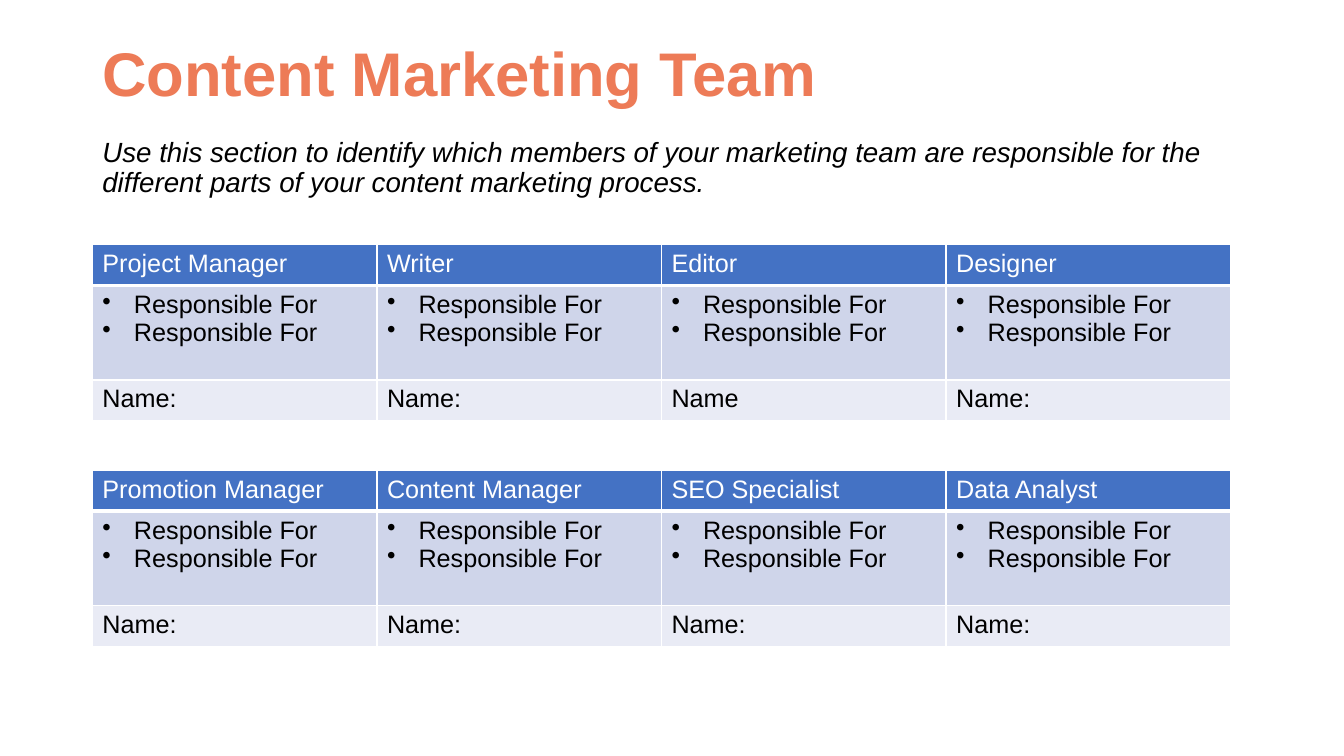
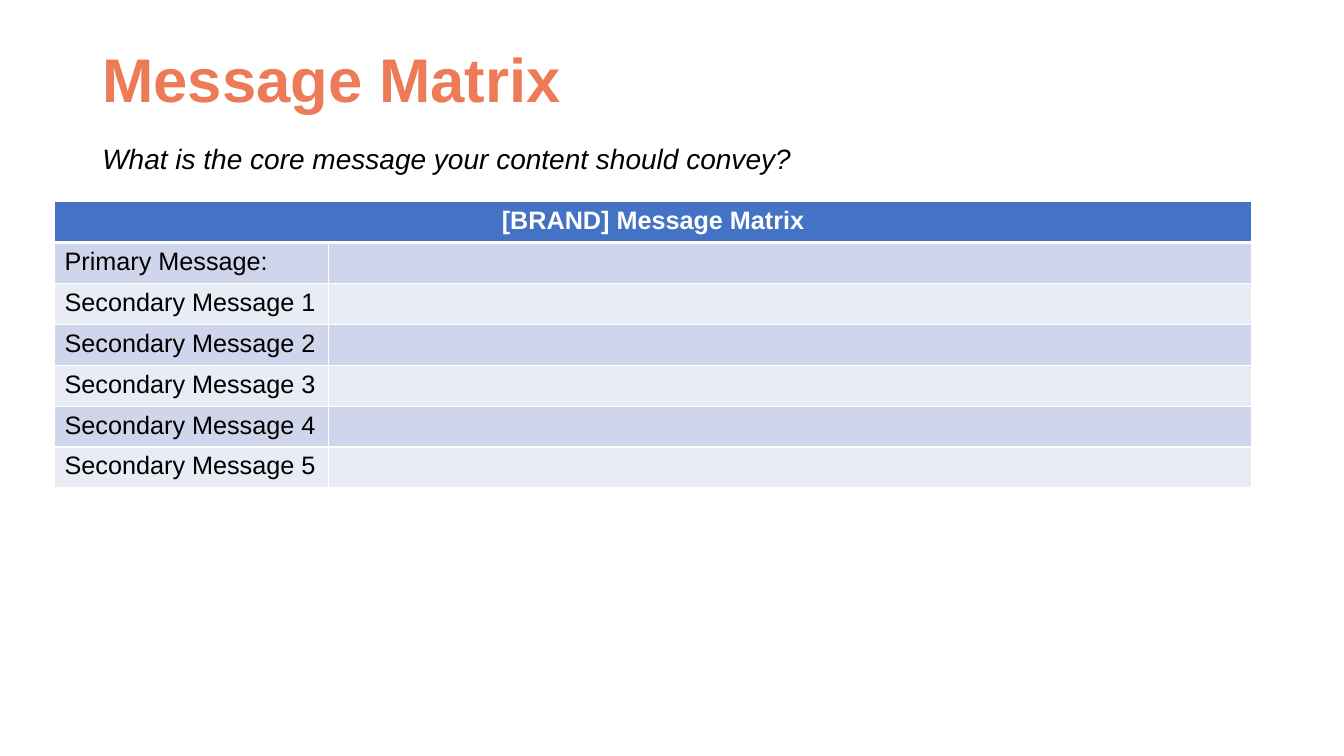
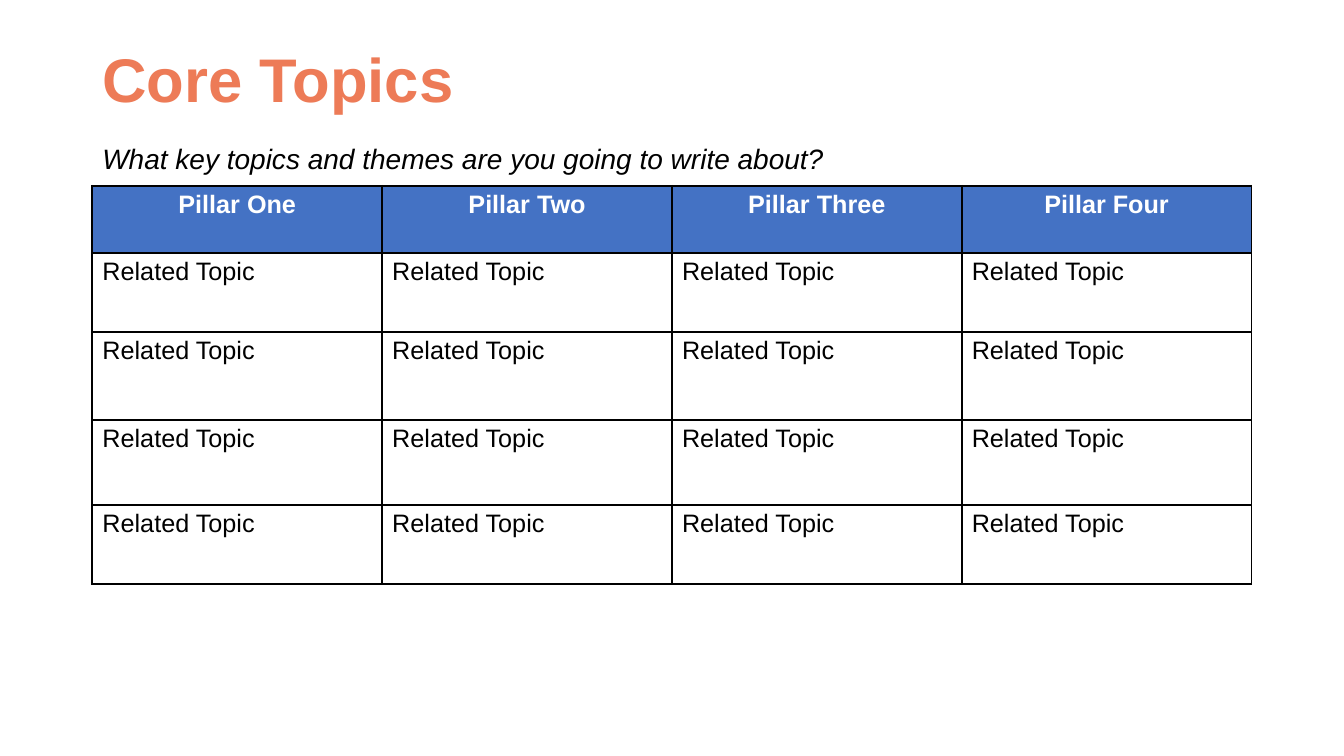
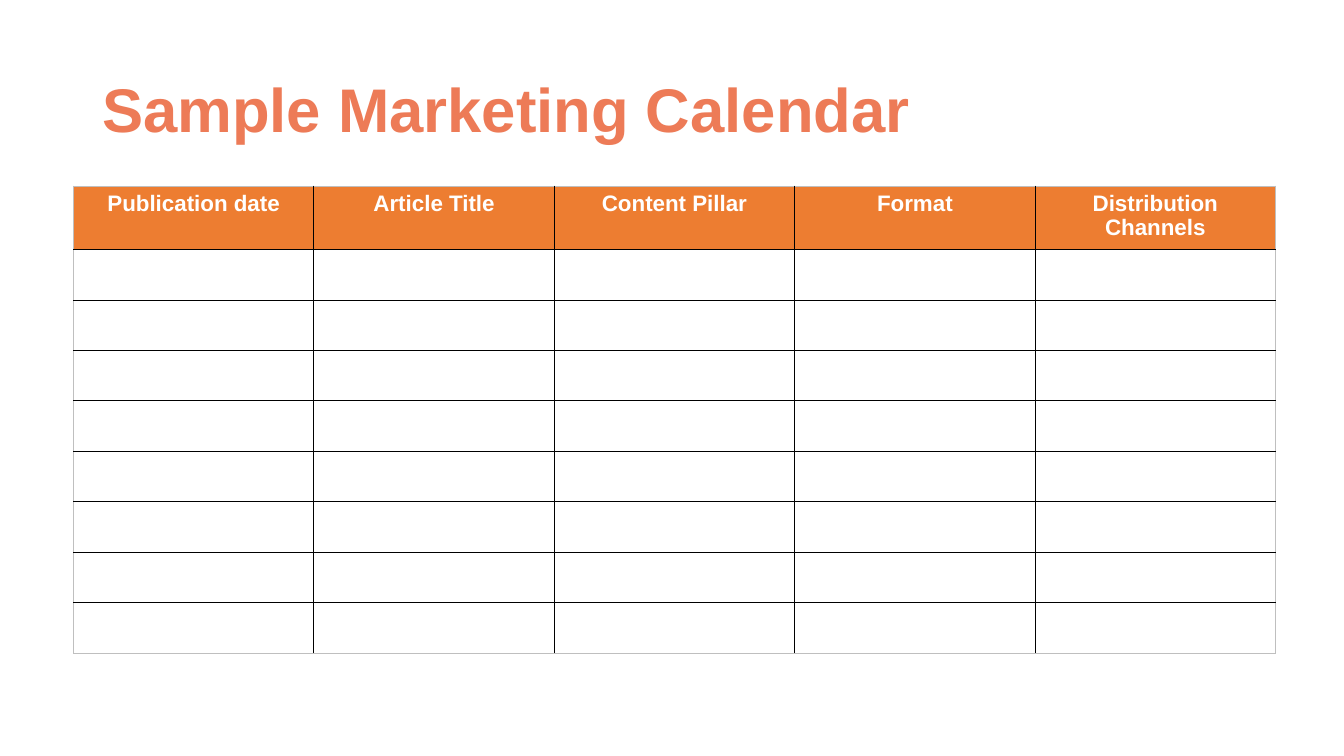
from dataclasses import dataclass
from typing import Optional

from pptx import Presentation
from pptx.dml.color import RGBColor
from pptx.enum.text import MSO_ANCHOR, PP_ALIGN
from pptx.oxml.ns import qn
from pptx.oxml.xmlchemy import OxmlElement
from pptx.util import Emu, Pt

EMU_PER_PX = 9525  # 96 px to the inch
FONT = "Arial"
COLOURS = {
    "title": "ED7B57",
    "text": "000000",
    "white": "FFFFFF",
    "blue": "4472C4",
    "blue_band": "CFD5EA",
    "pale_band": "E9EBF5",
    "orange": "ED7D31",
    "grey": "BFBFBF",
}


@dataclass
class TableStyle:
    header_fill: str
    body_fills: tuple
    line: tuple  # colour and width in points
    header_rule: Optional[tuple] = None
    outline: Optional[tuple] = None
    header_bold: bool = True
    header_align: PP_ALIGN = PP_ALIGN.CENTER
    size: int = 18


BANDED = TableStyle("blue", ("blue_band", "pale_band"), ("white", 1), header_rule=("white", 3))
BANDED_PLAIN = TableStyle("blue", ("blue_band", "pale_band"), ("white", 1),
                          header_rule=("white", 3), header_bold=False,
                          header_align=PP_ALIGN.LEFT)
GRID = TableStyle("blue", ("white",), ("text", 1.5))
CALENDAR = TableStyle("orange", ("white",), ("text", 1), outline=("grey", 0.5), size=16)


def px(length):
    return Emu(length * EMU_PER_PX)


def colour(name):
    return RGBColor.from_string(COLOURS[name])


def set_font(paragraph, size, colour_name, bold=False, italic=False):
    font = paragraph.font
    font.name = FONT
    font.size = Pt(size)
    font.bold = bold
    font.italic = italic
    font.color.rgb = colour(colour_name)


# Titles
def add_title(slide, title, subtitle=None, height=139, subtitle_size=20):
    box = slide.shapes.add_textbox(px(88), px(38), px(1104), px(height))
    frame = box.text_frame
    frame.word_wrap = True
    frame.vertical_anchor = MSO_ANCHOR.MIDDLE
    heading = frame.paragraphs[0]
    heading.text = title
    heading.line_spacing = 0.9
    set_font(heading, 44, "title", bold=True)
    if subtitle:
        prompt = frame.add_paragraph()
        prompt.text = subtitle
        prompt.line_spacing = 0.9
        prompt.space_before = Pt(21)
        set_font(prompt, subtitle_size, "text", italic=True)


# Tables
def add_bullet(paragraph):
    properties = paragraph._p.get_or_add_pPr()
    properties.set("marL", str(px(30)))
    properties.set("indent", str(-px(30)))
    bullet = OxmlElement("a:buChar")
    bullet.set("char", "•")
    properties.append(bullet)


def set_border(cell, side, line):
    colour_name, width = line
    border = OxmlElement(f"a:ln{side}")
    border.set("w", str(Pt(width)))
    fill = OxmlElement("a:solidFill")
    value = OxmlElement("a:srgbClr")
    value.set("val", COLOURS[colour_name])
    fill.append(value)
    border.append(fill)
    cell._tc.get_or_add_tcPr().append(border)


def set_borders(cell, row, column, row_count, column_count, style):
    outline = style.outline or style.line
    header_rule = style.header_rule or style.line
    inner_top = header_rule if row == 1 else style.line
    inner_bottom = header_rule if row == 0 else style.line
    set_border(cell, "L", outline if column == 0 else style.line)
    set_border(cell, "R", outline if column == column_count - 1 else style.line)
    set_border(cell, "T", outline if row == 0 else inner_top)
    set_border(cell, "B", outline if row == row_count - 1 else inner_bottom)


def write_cell(cell, content, is_header, style):
    bulleted = isinstance(content, list)
    frame = cell.text_frame
    for index, text in enumerate(content if bulleted else [content]):
        paragraph = frame.add_paragraph() if index else frame.paragraphs[0]
        paragraph.text = text
        if bulleted:
            add_bullet(paragraph)
        if is_header:
            paragraph.alignment = style.header_align
            set_font(paragraph, style.size, "white", bold=style.header_bold)
        else:
            set_font(paragraph, style.size, "text")


def add_table(slide, left, top, column_widths, row_heights, rows, style):
    row_count, column_count = len(row_heights), len(column_widths)
    frame = slide.shapes.add_table(row_count, column_count, px(left), px(top),
                                   px(sum(column_widths)), px(sum(row_heights)))
    table = frame.table
    table.horz_banding = False
    properties = table._tbl.tblPr
    properties.remove(properties.find(qn("a:tableStyleId")))
    for column, width in zip(table.columns, column_widths):
        column.width = px(width)
    for row, height in zip(table.rows, row_heights):
        row.height = px(height)
    for row, contents in enumerate(rows):
        for column, content in enumerate(contents):
            cell = table.cell(row, column)
            set_borders(cell, row, column, row_count, column_count, style)
            is_header = row == 0
            fill = (style.header_fill if is_header
                    else style.body_fills[(row - 1) % len(style.body_fills)])
            cell.fill.solid()
            cell.fill.fore_color.rgb = colour(fill)
            write_cell(cell, content, is_header, style)
    return table


# Slides
def build_team(slide):
    add_title(slide, "Content Marketing Team",
              "Use this section to identify which members of your marketing team are "
              "responsible for the different parts of your content marketing process.",
              height=154, subtitle_size=19.8)
    duties = ["Responsible For"] * 2
    teams = [
        (233, ["Project Manager", "Writer", "Editor", "Designer"],
         ["Name:", "Name:", "Name", "Name:"]),
        (448, ["Promotion Manager", "Content Manager", "SEO Specialist", "Data Analyst"],
         ["Name:"] * 4),
    ]
    for top, roles, names in teams:
        add_table(slide, 88, top, [271] * 4, [39, 90, 39],
                  [roles, [duties] * 4, names], BANDED_PLAIN)


def build_matrix(slide):
    add_title(slide, "Message Matrix", "What is the core message your content should convey?")
    labels = ["[BRAND] Message Matrix", "Primary Message:"]
    labels += [f"Secondary Message {number}" for number in range(1, 6)]
    table = add_table(slide, 52, 192, [261, 879], [39] * len(labels),
                      [[label, ""] for label in labels], BANDED)
    table.cell(0, 0).merge(table.cell(0, 1))


def build_topics(slide):
    add_title(slide, "Core Topics", "What key topics and themes are you going to write about?")
    pillars = [f"Pillar {number}" for number in ("One", "Two", "Three", "Four")]
    topics = [["Related Topic"] * 4] * 4
    add_table(slide, 88, 177, [276] * 4, [64, 75, 84, 81, 75], [pillars] + topics, GRID)


def build_calendar(slide):
    add_title(slide, "Sample Marketing Calendar")
    headings = ["Publication date", "Article Title", "Content Pillar", "Format",
                "Distribution Channels"]
    add_table(slide, 70, 177, [229] * 5, [57] + [48] * 8,
              [headings] + [[""] * 5] * 8, CALENDAR)


def main():
    presentation = Presentation()
    presentation.slide_width = px(1280)
    presentation.slide_height = px(720)
    for build in (build_team, build_matrix, build_topics, build_calendar):
        build(presentation.slides.add_slide(presentation.slide_layouts[6]))
    presentation.save("out.pptx")


if __name__ == "__main__":
    main()
